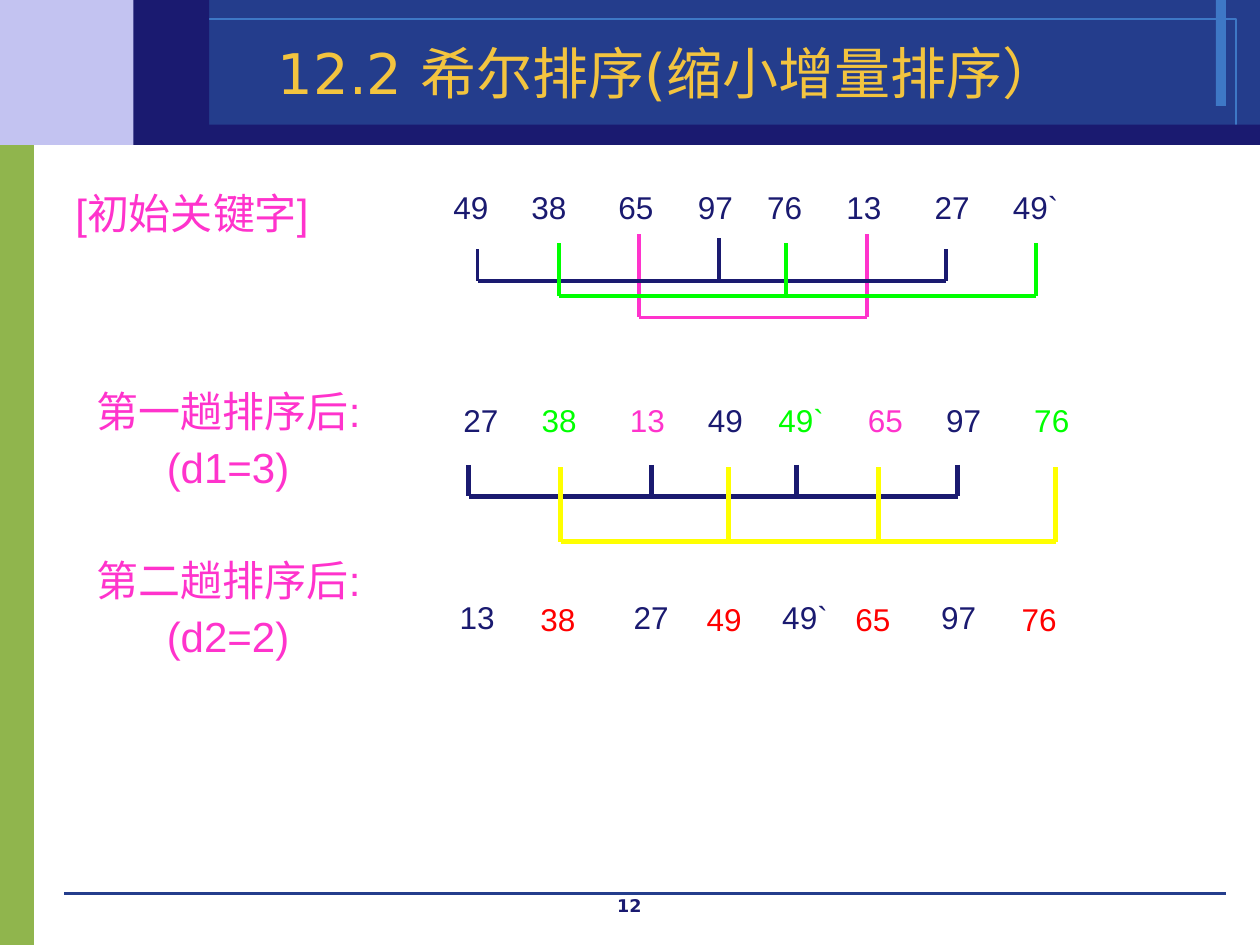
"""Build the Shell sort slide on a grid of 100 columns by 75 rows."""
from dataclasses import dataclass

from lxml import etree
from pptx import Presentation
from pptx import util as u
from pptx.dml.color import RGBColor
from pptx.enum import shapes, text
from pptx.oxml.ns import qn


@dataclass(frozen=True)
class Theme:
    """Colours, fonts and type sizes."""
    navy: str = "1A1A70"
    blue: str = "243D8C"
    sky: str = "3E78C6"
    lilac: str = "C3C3F1"
    leaf: str = "90B54D"
    gold: str = "F3C43F"
    pink: str = "FF33CC"
    green: str = "00FF00"
    yellow: str = "FFFF00"
    red: str = "FF0000"
    sans: str = "Arial"
    heading: str = "DejaVu Sans"
    title_size: int = 32
    label_size: int = 24
    key_size: int = 18
    page_size: int = 10


THEME = Theme()
COLUMNS, ROWS = 100, 75
CELL = u.Inches(0.1)
INSET = 1


def cells(*counts):
    """Turn grid counts into lengths."""
    return [round(count * CELL) for count in counts]


def style(font, size, colour, name=THEME.sans, bold=False):
    """Set the face, size and colour of a font."""
    font.name, font.size, font.bold = name, u.Pt(size), bold
    font.color.rgb = RGBColor.from_string(colour)


def add_band(slide, box, fill=None, outline=None):
    """Add a plain rectangle of the page frame."""
    band = slide.shapes.add_shape(shapes.MSO_SHAPE.RECTANGLE, *cells(*box))
    band.shadow.inherit = False
    if fill:
        band.fill.solid()
        band.fill.fore_color.rgb = RGBColor.from_string(fill)
    else:
        band.fill.background()
    if outline:
        band.line.color.rgb = RGBColor.from_string(outline)
        band.line.width = u.Pt(0)
    else:
        band.line.fill.background()


def add_line(slide, start, end, colour, weight):
    """Add a straight line between two grid points."""
    line = slide.shapes.add_connector(
        shapes.MSO_CONNECTOR.STRAIGHT, *cells(*start, *end))
    line.line.color.rgb = RGBColor.from_string(colour)
    line.line.width = u.Pt(weight)
    etree.SubElement(line._element.spPr, qn("a:effectLst"))


def add_bracket(slide, stems, base, colour, weight):
    """Join the keys of one group: stems maps each column to its top row."""
    columns = list(stems)
    add_line(slide, (columns[0], base), (columns[-1], base), colour, weight)
    for column, top in stems.items():
        add_line(slide, (column, top), (column, base), colour, weight)


def add_text(slide, box):
    """Add a wrapping text box and return its frame."""
    frame = slide.shapes.add_textbox(*cells(*box)).text_frame
    frame.word_wrap = True
    return frame


def add_label(slide, box, heading, step=None):
    """Add a row label with an optional indented increment below."""
    frame = add_text(slide, box)
    first = frame.paragraphs[0]
    first.text = heading
    style(first.font, THEME.label_size, THEME.pink)
    if step:
        second = frame.add_paragraph()
        second.text = step
        second._p.get_or_add_pPr().set("marL", str(cells(5.55)[0]))
        second.space_before = u.Pt(THEME.label_size / 2)
        first.line_spacing = second.line_spacing = 0.7
        style(second.font, THEME.label_size, THEME.pink)


def add_keys(slide, top, columns, keys, colours):
    """Add one row of keys, each at its own tab stop."""
    left = columns[0] - INSET
    paragraph = add_text(slide, (left, top, 95 - left, 4)).paragraphs[0]
    stops = etree.SubElement(paragraph._p.get_or_add_pPr(), qn("a:tabLst"))
    for column in columns[1:]:
        etree.SubElement(stops, qn("a:tab"), algn="l",
                         pos=str(cells(column - columns[0])[0]))
    for index, (key, colour) in enumerate(zip(keys.split(), colours)):
        run = paragraph.add_run()
        run.text = f"\t{key}" if index else key
        style(run.font, THEME.key_size, colour)


def add_frame(slide):
    """Draw the header, side bar and footer rule."""
    add_band(slide, (0, 10.7, 2.7, 64.3), THEME.leaf)
    add_band(slide, (0, 0, 15.3, 11.5), THEME.lilac)
    add_band(slide, (15.3, 0, 84.7, 11.5), THEME.blue)
    add_band(slide, (96.5, 0, 0.8, 8.4), THEME.sky)
    add_band(slide, (11.9, 1.5, 86.2, 8.5), outline=THEME.sky)
    add_line(slide, (5.1, 70.9), (97.3, 70.9), THEME.blue, 0)
    add_band(slide, (13, 9.9, 87, 1.6), THEME.navy)
    add_band(slide, (10.6, 0, 6, 11.5), THEME.navy)


def add_page_number(slide, number):
    """Add the centred page number."""
    paragraph = add_text(slide, (38.3, 70.5, 23.3, 2.5)).paragraphs[0]
    paragraph.text = number
    paragraph.alignment = text.PP_ALIGN.CENTER
    style(paragraph.font, THEME.page_size, THEME.navy, THEME.heading, True)


def set_title(slide, wording):
    """Place the title in front of the header."""
    title = slide.shapes.title
    title.left, title.top, title.width, title.height = cells(11.9, 2.6, 82.3, 6.2)
    frame = title.text_frame
    frame.text = wording
    frame.auto_size = text.MSO_AUTO_SIZE.NONE
    frame.vertical_anchor = text.MSO_ANCHOR.MIDDLE
    frame.paragraphs[0].alignment = text.PP_ALIGN.CENTER
    style(frame.paragraphs[0].font, THEME.title_size, THEME.gold, THEME.heading)
    title._element.getparent().append(title._element)


def main():
    """Build and save the slide."""
    deck = Presentation()
    deck.slide_width, deck.slide_height = cells(COLUMNS, ROWS)
    slide = deck.slides.add_slide(deck.slide_layouts[5])
    navy, green, pink = THEME.navy, THEME.green, THEME.pink

    add_frame(slide)
    add_page_number(slide, "12")

    add_label(slide, (5, 14.4, 25, 5), "[初始关键字]")
    add_keys(slide, 14.4, (36, 42.2, 49.1, 55.4, 60.9, 67.2, 74.2, 80.4),
             "49 38 65 97 76 13 27 49`", [navy] * 8)
    add_bracket(slide, dict.fromkeys((50.7, 68.8), 18.6), 25.2, pink, 2.25)
    add_bracket(slide, {37.9: 19.8, 57.1: 18.9, 75.1: 19.8}, 22.3, navy, 2.25)
    add_bracket(slide, dict.fromkeys((44.4, 62.4, 82.2), 19.3), 23.5, green, 2.25)

    add_label(slide, (6.7, 31.2, 29.2, 8.6), "第一趟排序后:", "(d1=3)")
    add_keys(slide, 31.3, (36.8, 43, 50, 56.2, 61.8, 68.9, 75.1, 82.1),
             "27 38 13 49 49` 65 97 76",
             (navy, green, pink, navy, green, pink, navy, green))
    add_bracket(slide, dict.fromkeys((37.2, 51.7, 63.2, 76), 36.9), 39.4, navy, 3)
    add_bracket(slide, dict.fromkeys((44.5, 57.8, 69.7, 83.8), 37.1), 43,
                THEME.yellow, 3)

    add_label(slide, (6.7, 44.6, 29.2, 8.6), "第二趟排序后:", "(d2=2)")
    add_keys(slide, 47, (36.5, 50.3, 62.1, 74.7), "13 27 49` 97", [navy] * 4)
    add_keys(slide, 47.1, (42.9, 56.1, 67.9, 81.1), "38 49 65 76",
             [THEME.red] * 4)

    set_title(slide, "12.2 希尔排序(缩小增量排序）")
    deck.save("out.pptx")


if __name__ == "__main__":
    main()
